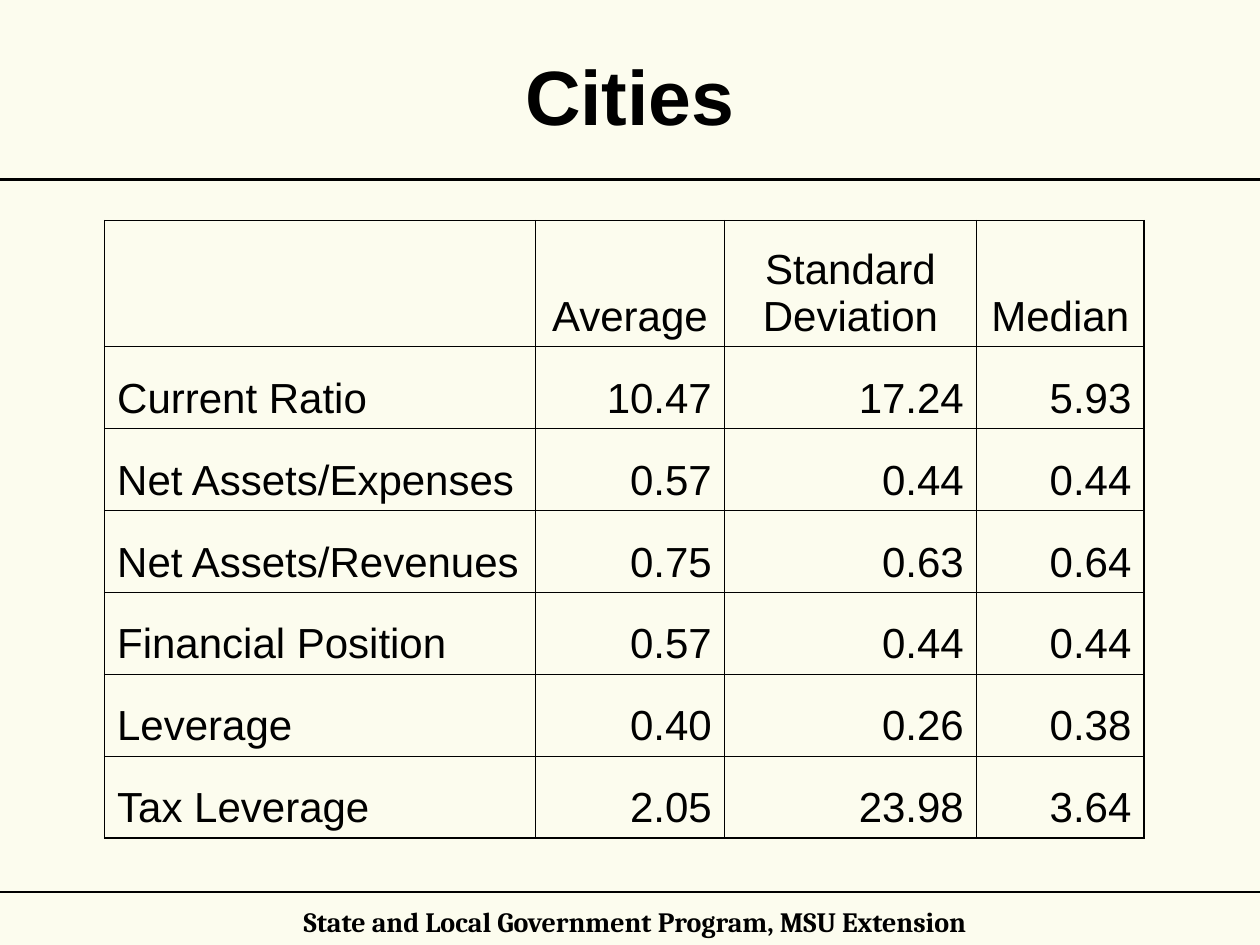
from dataclasses import dataclass

from lxml import etree
from pptx import Presentation
from pptx import util as u
from pptx.dml.color import RGBColor
from pptx.enum import shapes, text
from pptx.oxml.ns import qn

WIDTH, HEIGHT = u.Inches(10), u.Inches(7.5)
COLORS = {"ink": "000000", "paper": "FCFCEE"}
ALIGN = text.PP_ALIGN
ANCHOR = text.MSO_ANCHOR

TITLE = {"name": "Arial", "size": u.Pt(44), "bold": True}
BODY = {"name": "Arial", "size": u.Pt(24), "bold": False}
FOOTER = {"name": "Cambria", "size": u.Pt(16), "bold": True}

COLUMNS = [3.42, 1.5, 2, 1.33]
ROWS = [1] + [0.65] * 6
INNER, OUTER = 0.45, 0.96  # border widths in points


@dataclass
class Ratio:
    label: str
    average: str
    deviation: str
    median: str

    def cells(self) -> list[str]:
        return [self.label, self.average, self.deviation, self.median]


HEADER = Ratio("", "Average", "Standard\nDeviation", "Median")
RATIOS = [
    Ratio("Current Ratio", "10.47", "17.24", "5.93"),
    Ratio("Net Assets/Expenses", "0.57", "0.44", "0.44"),
    Ratio("Net Assets/Revenues", "0.75", "0.63", "0.64"),
    Ratio("Financial Position", "0.57", "0.44", "0.44"),
    Ratio("Leverage", "0.40", "0.26", "0.38"),
    Ratio("Tax Leverage", "2.05", "23.98", "3.64"),
]


def write(tf, words: str, style: dict, align) -> None:
    tf.text = words
    for p in tf.paragraphs:
        p.alignment = align
        for r in p.runs:
            for key, value in style.items():
                setattr(r.font, key, value)
            r.font.color.rgb = RGBColor.from_string(COLORS["ink"])


def add_rule(s, y: float) -> None:
    """Draw a line across the slide at a share of its height."""
    top = round(HEIGHT * y)
    rule = s.shapes.add_connector(shapes.MSO_CONNECTOR.STRAIGHT, 0, top, WIDTH, top)
    rule.line.color.rgb = RGBColor.from_string(COLORS["ink"])
    rule.line.width = u.Pt(1.25)
    etree.SubElement(rule._element.spPr, qn("a:effectLst"))


def add_border(cell, side: str, points: float) -> None:
    tc_pr = cell._tc.get_or_add_tcPr()
    ln = etree.SubElement(tc_pr, qn(f"a:ln{side}"), w=str(u.Pt(points)))
    fill = etree.SubElement(ln, qn("a:solidFill"))
    etree.SubElement(fill, qn("a:srgbClr"), val=COLORS["ink"])


def add_ratio_table(s, left: float, top: float) -> None:
    frame = s.shapes.add_table(len(ROWS), len(COLUMNS), u.Inches(left), u.Inches(top),
                               u.Inches(sum(COLUMNS)), u.Inches(sum(ROWS)))
    table = frame.table
    table.first_row = table.horz_banding = False
    for column, width in zip(table.columns, COLUMNS):
        column.width = u.Inches(width)
    for row, height in zip(table.rows, ROWS):
        row.height = u.Inches(height)

    last_row, last_col = len(ROWS) - 1, len(COLUMNS) - 1
    for i, ratio in enumerate([HEADER] + RATIOS):
        for j, words in enumerate(ratio.cells()):
            cell = table.cell(i, j)
            align = ALIGN.CENTER if i == 0 else ALIGN.LEFT if j == 0 else ALIGN.RIGHT
            write(cell.text_frame, words, BODY, align)
            cell.vertical_anchor = ANCHOR.BOTTOM
            edges = {"L": j == 0, "R": j == last_col, "T": i == 0, "B": i == last_row}
            for side, is_outer in edges.items():
                add_border(cell, side, OUTER if is_outer else INNER)
            cell.fill.background()


def main() -> None:
    prs = Presentation()
    prs.slide_width, prs.slide_height = WIDTH, HEIGHT
    s = prs.slides.add_slide(prs.slide_layouts[5])
    s.background.fill.solid()
    s.background.fill.fore_color.rgb = RGBColor.from_string(COLORS["paper"])

    # Title
    title = s.shapes.title
    title.left, title.top = u.Inches(0.5), u.Inches(0.17)
    title.width, title.height = u.Inches(9), u.Inches(1.17)
    title.text_frame.vertical_anchor = ANCHOR.MIDDLE
    write(title.text_frame, "Cities", TITLE, ALIGN.CENTER)

    # Rules under the title and above the footer
    for y in (0.19, 0.944):
        add_rule(s, y)

    # Footer
    footer = s.shapes.add_textbox(u.Inches(1), u.Inches(7.17), u.Inches(8.08), u.Inches(0.29))
    tf = footer.text_frame
    tf.word_wrap = True
    margins = {"margin_left": 0.02, "margin_right": 0.02, "margin_top": 0.01, "margin_bottom": 0.01}
    for key, value in margins.items():
        setattr(tf, key, u.Inches(value))
    write(tf, "State and Local Government Program, MSU Extension", FOOTER, ALIGN.CENTER)

    # Table of ratios
    add_ratio_table(s, 0.83, 1.75)

    prs.save("out.pptx")


if __name__ == "__main__":
    main()
